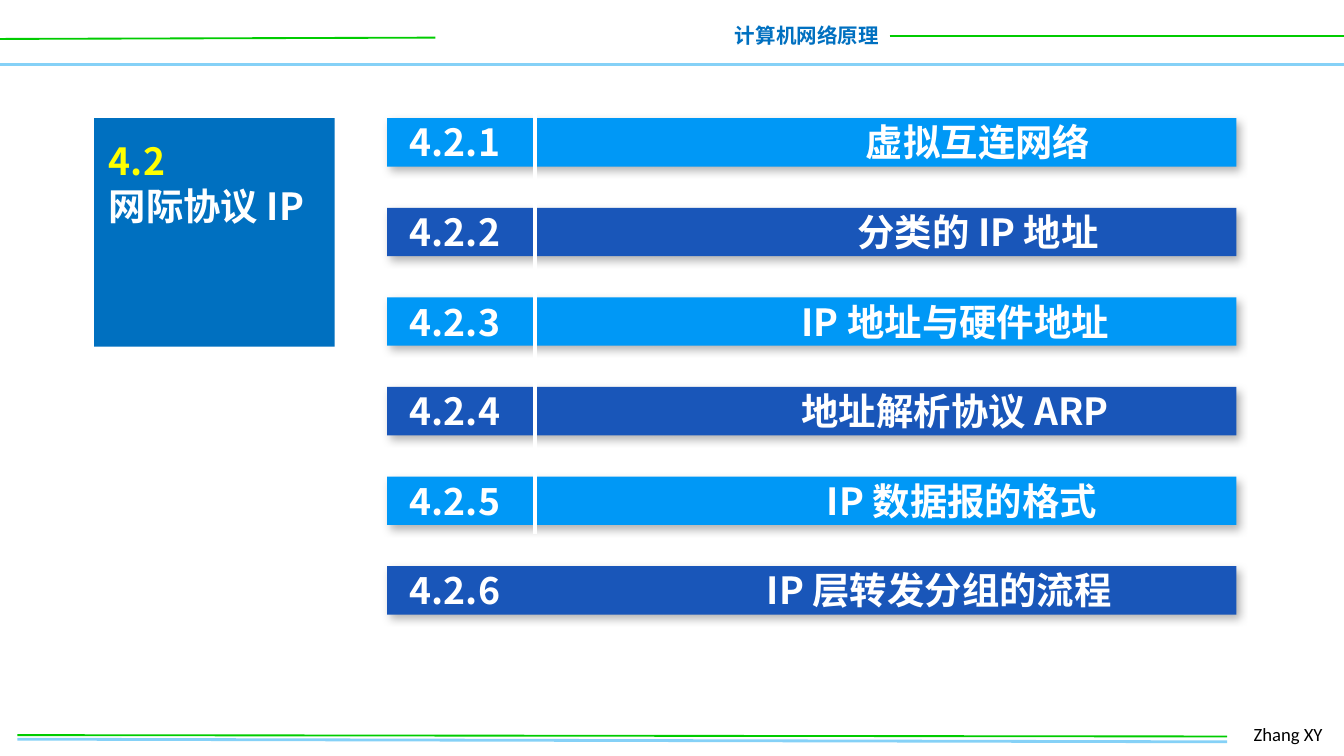
from lxml import etree
from pptx import Presentation
from pptx.dml.color import RGBColor
from pptx.enum import shapes, text
from pptx.oxml import ns
from pptx.util import Inches, Pt

COLORS = {
    "sky": "85D1F7", "green": "00CC00", "blue": "0070C0", "bright": "0098F6",
    "deep": "1956B9", "yellow": "FFFF00", "white": "FFFFFF", "black": "000000",
}
CJK = "Noto Sans CJK SC"
LINE_HEIGHT = 24
TOPICS = [
    ("4.2.1", "虚拟互连网络", 4.23),
    ("4.2.2", "分类的 IP 地址", 4.23),
    ("4.2.3", "IP 地址与硬件地址", 4.06),
    ("4.2.4", "地址解析协议 ARP", 4.06),
    ("4.2.5", "IP 数据报的格式", 4.11),
    ("4.2.6", "IP 层转发分组的流程", 3.94),
]


def rgb(name):
    """Look up a named colour."""
    return RGBColor.from_string(COLORS[name])


def add_child(parent, tag, **attributes):
    """Append a DrawingML element to a parent element."""
    values = {key: str(value) for key, value in attributes.items()}
    return etree.SubElement(parent, ns.qn(tag), values)


def write(paragraph, words, size=20, color="white", font=CJK, bold=True,
          align=text.PP_ALIGN.LEFT, line=None, before=0):
    """Write one formatted run into a paragraph."""
    paragraph.alignment = align
    paragraph.space_before = Pt(before)
    if line:
        paragraph.line_spacing = Pt(line)
    run = paragraph.add_run()
    run.text = words
    run.font.size, run.font.bold, run.font.name = Pt(size), bold, font
    run.font.color.rgb = rgb(color)
    add_child(run.font._element, "a:ea", typeface=font)


def add_frame(slide, left, top, width, height, wrap=True):
    """Add an empty text box and return its text frame."""
    frame = slide.shapes.add_textbox(
        Inches(left), Inches(top), Inches(width), Inches(height)).text_frame
    frame.word_wrap = wrap
    return frame


def add_rule(slide, start, end, color, weight):
    """Draw a straight line between two points."""
    rule = slide.shapes.add_connector(
        shapes.MSO_CONNECTOR.STRAIGHT, *map(Inches, (*start, *end)))
    rule.line.color.rgb = rgb(color)
    rule.line.width = Pt(weight)
    add_child(rule._element.spPr, "a:effectLst")


def add_block(slide, left, top, width, height, color, shadow=False):
    """Add a filled rectangle, with a soft shadow if asked."""
    block = slide.shapes.add_shape(
        shapes.MSO_SHAPE.RECTANGLE,
        Inches(left), Inches(top), Inches(width), Inches(height))
    block.fill.solid()
    block.fill.fore_color.rgb = rgb(color)
    block.line.fill.background()
    block.shadow.inherit = False
    if shadow:
        effects = block._element.spPr.find(ns.qn("a:effectLst"))
        outer = add_child(effects, "a:outerShdw", blurRad=Pt(4.5),
                          dist=Pt(2.6), dir=53 * 60000, algn="tl", rotWithShape=0)
        black = add_child(outer, "a:srgbClr", val=COLORS["black"])
        add_child(black, "a:alpha", val=30000)


def add_header(slide, left, top, width):
    """Draw the course name between green rules, above a blue rule."""
    right = left + width
    add_rule(slide, (left, top + 0.48), (right, top + 0.48), "sky", 2)
    add_rule(slide, (left, top + 0.29), (left + 3.24, top + 0.28), "green", 1)
    course = add_frame(slide, left + 5.36, top + 0.12, 1.28, 0.29, wrap=False)
    course.vertical_anchor = text.MSO_ANCHOR.MIDDLE
    write(course.paragraphs[0], "计算机网络原理", size=11, color="blue",
          align=text.PP_ALIGN.RIGHT)
    add_rule(slide, (left + 6.62, top + 0.27), (right, top + 0.27), "green", 1)


def add_footer(slide, left, top, width):
    """Draw the double footer rule and the author beside it."""
    right = left + width
    add_rule(slide, (left, top + 0.03), (right, top + 0.05), "sky", 1.5)
    author = add_frame(slide, right + 0.1, top - 0.14, 0.74, 0.27)
    write(author.paragraphs[0], "Zhang XY", size=10, color="black",
          font="Calibri", bold=False)
    add_rule(slide, (left, top), (right, top + 0.01), "green", 1)


def add_topics(slide, left, top, width, bar_height):
    """Draw alternating bars, their divider and the list of topics."""
    pitch = 2 * LINE_HEIGHT / 72
    for row in range(len(TOPICS)):
        add_block(slide, left, top + row * pitch, width, bar_height,
                  ("bright", "deep")[row % 2], shadow=True)
    add_rule(slide, (left + 1.1, top - 0.08), (left + 1.1, top + 3.09), "white", 2.25)
    topics = add_frame(slide, left + 0.07, top - 0.04, width - 0.22, 3.8)
    for row, (number, topic, center) in enumerate(TOPICS):
        paragraph = topics.add_paragraph() if row else topics.paragraphs[0]
        write(paragraph, f"{number}\t{topic}", line=LINE_HEIGHT,
              before=LINE_HEIGHT if row else 0)
        tabs = add_child(paragraph._p.get_or_add_pPr(), "a:tabLst")
        add_child(tabs, "a:tab", pos=Inches(center), algn="ctr")


def add_section_title(slide, left, top, width, height):
    """Place the section title on its blue block."""
    add_block(slide, left, top, width, height, "blue")
    title = slide.shapes.title
    title.left, title.top = Inches(left + 0.01), Inches(top + 0.1)
    title.width, title.height = Inches(width - 0.01), Inches(0.77)
    slide.shapes._spTree.append(title._element)
    frame = title.text_frame
    frame.word_wrap = True
    frame.auto_size = text.MSO_AUTO_SIZE.NONE
    frame.vertical_anchor = text.MSO_ANCHOR.TOP
    write(frame.paragraphs[0], "4.2", color="yellow", line=LINE_HEIGHT)
    write(frame.add_paragraph(), "网际协议 IP", line=LINE_HEIGHT)


def main():
    """Build the section overview slide."""
    deck = Presentation()
    deck.slide_width, deck.slide_height = Inches(10), Inches(10 * 9 / 16)
    slide = deck.slides.add_slide(deck.slide_layouts[5])
    add_header(slide, 0, 0, 10)
    add_footer(slide, 0.13, 5.47, 9)
    add_topics(slide, 2.88, 0.88, 6.32, 0.36)
    add_section_title(slide, 0.7, 0.88, 1.79, 1.7)
    deck.save("out.pptx")


if __name__ == "__main__":
    main()
